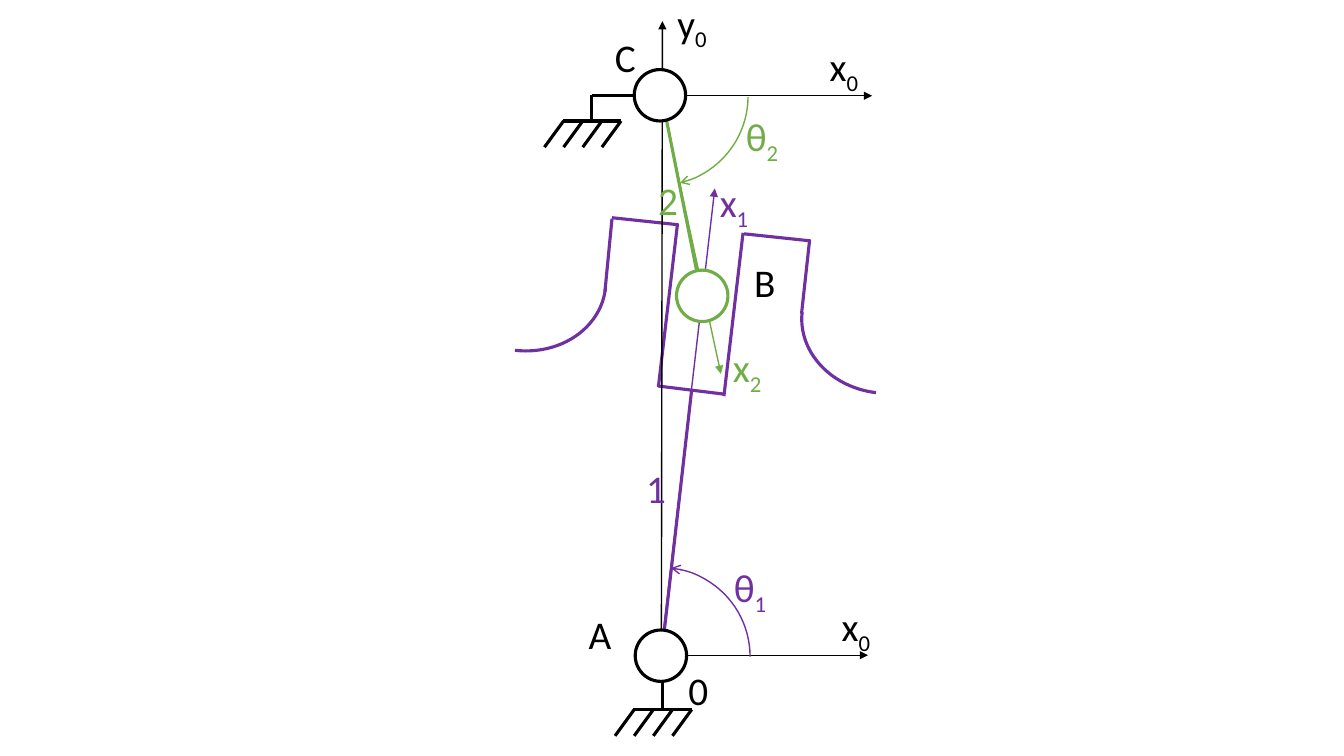
from lxml import etree
from pptx import Presentation
from pptx.dml.color import RGBColor
from pptx.enum.shapes import MSO_CONNECTOR, MSO_SHAPE
from pptx.enum.text import MSO_AUTO_SIZE
from pptx.oxml.ns import qn
from pptx.util import Inches, Pt

LINE = MSO_CONNECTOR.STRAIGHT
ARC, OVAL = MSO_SHAPE.ARC, MSO_SHAPE.OVAL
FIT = MSO_AUTO_SIZE.SHAPE_TO_FIT_TEXT
COLORS = {"black": "000000", "white": "FFFFFF", "purple": "7030A0", "green": "70AD47"}
THIN, THICK = 1, 2.25

prs = Presentation()
prs.slide_width, prs.slide_height = Inches(13.33), Inches(7.5)
shapes = prs.slides.add_slide(prs.slide_layouts[6]).shapes


def add_line(parent, x1, y1, x2, y2, color, width=THICK, arrow=False):
    c = parent.add_connector(LINE, Inches(x1), Inches(y1), Inches(x2), Inches(y2))
    c.line.color.rgb = RGBColor.from_string(COLORS[color])
    c.line.width = Pt(width)
    if arrow:
        etree.SubElement(c.line._get_or_add_ln(), qn("a:tailEnd"), type="triangle")
    etree.SubElement(c._element.spPr, qn("a:effectLst"))


def add_outline(kind, x, y, w, h, color, width=THICK):
    s = shapes.add_shape(kind, Inches(x), Inches(y), Inches(w), Inches(h))
    s.shadow.inherit = False
    s.line.color.rgb = RGBColor.from_string(COLORS[color])
    s.line.width = Pt(width)
    if kind == OVAL:
        s.fill.solid()
        s.fill.fore_color.rgb = RGBColor.from_string(COLORS["white"])
    else:
        s.fill.background()
    return s


# Axes of the frames
for x1, y1, x2, y2, color in [
    (6.55, 0.95, 8.65, 0.95, "black"),
    (6.51, 6.5, 8.61, 6.5, "black"),
    (6.55, 6.52, 7.09, 1.87, "purple"),
    (6.55, 0.93, 7.15, 3.71, "green"),
]:
    add_line(shapes, x1, y1, x2, y2, color, THIN, arrow=True)

# Links 1 and 2
add_line(shapes, 6.86, 3.87, 6.56, 6.51, "purple")
add_line(shapes, 6.96, 2.94, 6.56, 0.94, "green")

# Ground symbols: stem, bar and four hatches
for x, y in [(5.87, 0.94), (6.57, 6.78)]:
    ground = shapes.add_group_shape().shapes
    add_line(ground, x, y, x, y + 0.25, "black")
    add_line(ground, x + 0.29, y + 0.26, x - 0.29, y + 0.26, "black")
    for i in range(4):
        hatch = x - 0.28 + 0.19 * i
        add_line(ground, hatch, y + 0.26, hatch - 0.19, y + 0.52, "black")

# Joints A and B
add_outline(OVAL, 6.3, 6.25, 0.51, 0.51, "black")
add_outline(OVAL, 6.71, 2.68, 0.51, 0.51, "green")

# Angle arcs, start and end in degrees
for x, y, start, end, color, arrow_end in [
    (5.67, 5.63, 276.59, 0, "purple", "a:headEnd"),
    (5.65, 0.07, 0.57, 76.3, "green", "a:tailEnd"),
]:
    s = add_outline(ARC, x, y, 1.77, 1.77, color, THIN)
    s.adjustments[0], s.adjustments[1] = start * 0.6, end * 0.6
    etree.SubElement(s.line._get_or_add_ln(), qn(arrow_end), type="arrow")

# Slotted wheel: straight edges
for x1, y1, x2, y2 in [
    (6.72, 2.22, 6.53, 3.84),
    (7.18, 3.91, 6.53, 3.83),
    (7.37, 2.31, 7.18, 3.93),
    (6.73, 2.23, 6.07, 2.16),
    (8.04, 2.39, 7.38, 2.32),
    (8.03, 2.38, 7.95, 3.11),
    (6.07, 2.17, 6, 2.89),
]:
    add_line(shapes, x1, y1, x2, y2, "purple")

# Slotted wheel: concave flanks
for x, y, flipped in [(7.95, 2.48, False), (4.37, 2.06, True)]:
    s = add_outline(ARC, x, y, 1.64, 1.42, "purple")
    s.rotation = 186.7
    if flipped:
        s._element.spPr.find(qn("a:xfrm")).set("flipH", "1")

# Vertical axis and joint C with its ground link
add_line(shapes, 6.56, 6.25, 6.57, 0.21, "black", THIN, arrow=True)
add_outline(OVAL, 6.29, 0.69, 0.51, 0.51, "black")
add_line(shapes, 5.87, 0.95, 6.3, 0.95, "black")

# Labels with optional subscripts
for x, y, w, text, sub, color in [
    (7.17, 3.36, 0.51, "x", "2", "green"),
    (7.04, 1.72, 0.51, "x", "1", "purple"),
    (5.74, 6.01, 0.43, "A", "", "black"),
    (7.38, 2.51, 0.41, "B", "", "black"),
    (6, 0.28, 0.41, "C", "", "black"),
    (6.73, 6.56, 0.4, "0", "", "black"),
    (6.31, 4.56, 0.4, "1", "", "purple"),
    (6.43, 1.7, 0.4, "2", "", "green"),
    (7.18, 5.54, 0.63, "θ", "1", "purple"),
    (7.3, 1.07, 0.63, "θ", "2", "green"),
    (8.13, 0.37, 0.51, "x", "0", "black"),
    (8.25, 5.93, 0.51, "x", "0", "black"),
    (6.62, -0.06, 0.51, "y", "0", "black"),
]:
    tf = shapes.add_textbox(Inches(x), Inches(y), Inches(w), Inches(0.57)).text_frame
    tf.word_wrap = text in "Bθ"
    tf.auto_size = FIT
    p = tf.paragraphs[0]
    for part, baseline in [(text, 0), (sub, -25000)]:
        if part:
            r = p.add_run()
            r.text = part
            r.font.name, r.font.size = "Calibri", Pt(28)
            r.font.color.rgb = RGBColor.from_string(COLORS[color])
            if baseline:
                r.font._element.set("baseline", str(baseline))

prs.save("out.pptx")
